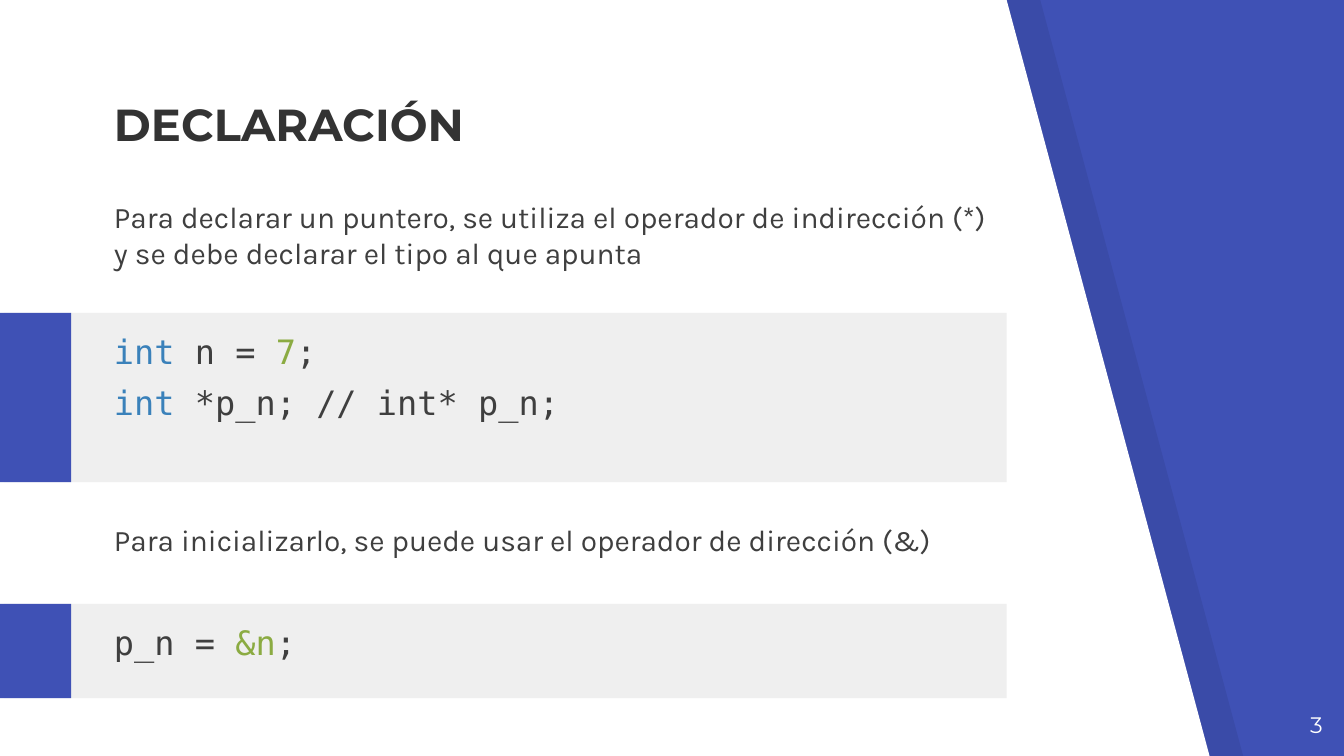
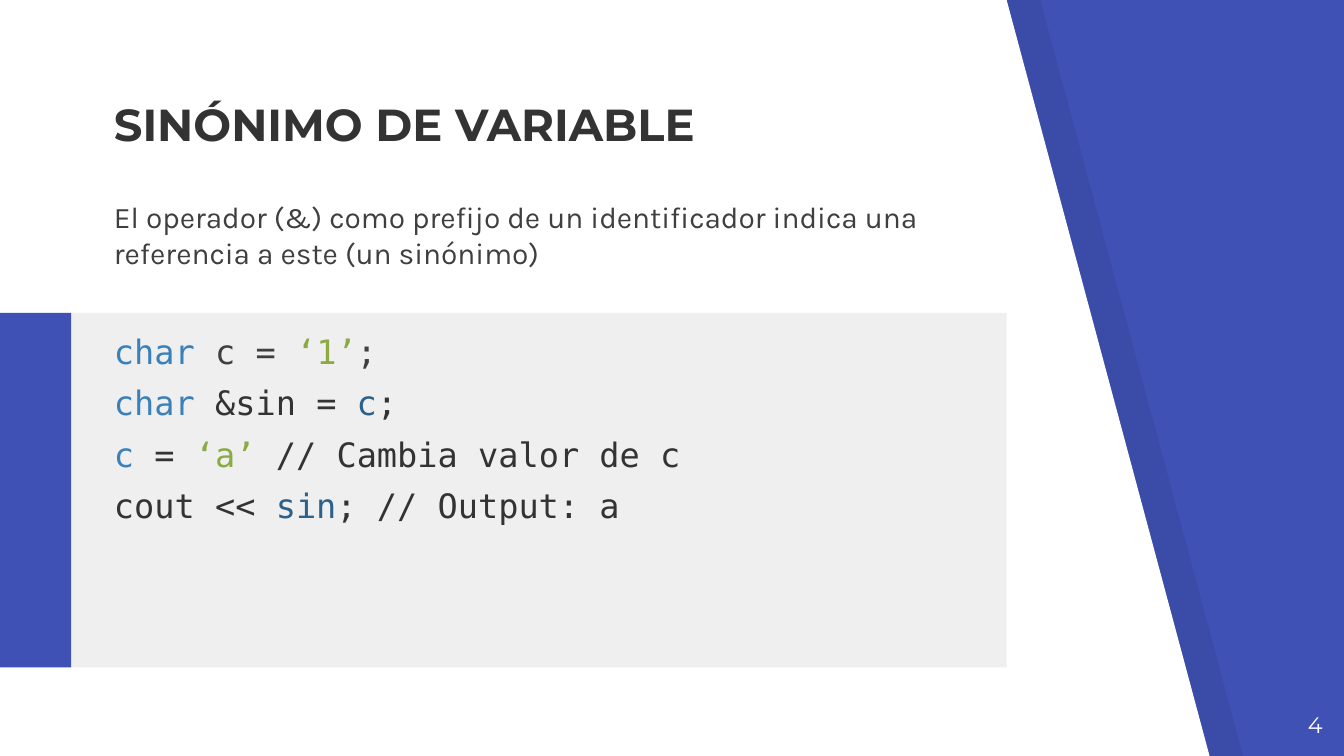
from lxml import etree
from pptx import Presentation
from pptx.dml.color import RGBColor
from pptx.enum.shapes import MSO_SHAPE
from pptx.enum.text import MSO_ANCHOR, PP_ALIGN
from pptx.oxml.ns import qn
from pptx.util import Pt

RECT = MSO_SHAPE.RECTANGLE
TOP, BOTTOM = MSO_ANCHOR.TOP, MSO_ANCHOR.BOTTOM
LEFT, RIGHT = PP_ALIGN.LEFT, PP_ALIGN.RIGHT

WIDE, HIGH = 720, 405
BLUE, WHITE, BLACK, GRAY = "3F51B5", "FFFFFF", "000000", "EFEFEF"
INK, TEXT, TYPE, VALUE, NAME = "333333", "3F3F3F", "3A81BA", "8BAB42", "2B618B"
HEAD, BODY, MONO = "Montserrat", "Karla", "DejaVu Sans Mono"
TEXT_X, TEXT_W = 54, 484.6
BAND_X, BAND_END, TAB_W = 2.2, 539.3, 38.1
CODE_DROP = 2.4

# Notes are (top, height, text); a code block has its band's top and height,
# then its lines, each made of (text, colour) pieces.
SLIDES = [
    {
        "number": "3",
        "title": "DECLARACIÓN",
        "notes": [
            (99.4, 67.6, "Para declarar un puntero, se utiliza el operador de "
                         "indirección (*) y se debe declarar el tipo al que apunta"),
            (272.2, 48.2, "Para inicializarlo, se puede usar el operador de dirección (&)"),
        ],
        "code": [
            (167.6, 90.7, [
                [("int", TYPE), (" n = ", TEXT), ("7", VALUE), (";", TEXT)],
                [("int", TYPE), (" *p_n; // int* p_n;", TEXT)],
            ]),
            (323.6, 50.4, [
                [("p_n = ", TEXT), ("&n", VALUE), (";", TEXT)],
            ]),
        ],
    },
    {
        "number": "4",
        "title": "SINÓNIMO DE VARIABLE",
        "notes": [
            (99.4, 67.6, "El operador (&) como prefijo de un identificador indica "
                         "una referencia a este (un sinónimo)"),
        ],
        "code": [
            (167.6, 190, [
                [("char", TYPE), (" c = ", TEXT), ("‘1’", VALUE), (";", TEXT)],
                [("char ", TYPE), ("&sin = ", INK), ("c", NAME), (";", INK)],
                [("c ", TYPE), ("= ", INK), ("‘a’", VALUE), (" // Cambia valor de c", INK)],
                [("cout << ", INK), ("sin", NAME), ("; // Output: a", INK)],
            ]),
        ],
    },
]


def rgb(color):
    return RGBColor.from_string(color)


def paint(shape, color):
    """Give the shape a plain fill, with no line or shadow."""
    shape.fill.solid()
    shape.fill.fore_color.rgb = rgb(color)
    shape.line.fill.background()
    shape.shadow.inherit = False


def write(slide, box, lines, font=BODY, size=16, bold=False, before=0,
          align=LEFT, anchor=TOP):
    """Add a text box; each line is a list of (text, colour) pieces."""
    frame = slide.shapes.add_textbox(*map(Pt, box)).text_frame
    frame.word_wrap = True
    frame.vertical_anchor = anchor
    frame.margin_left = frame.margin_right = Pt(7.2)
    frame.margin_top = frame.margin_bottom = Pt(7.2)
    for i, line in enumerate(lines):
        para = frame.add_paragraph() if i else frame.paragraphs[0]
        para.alignment = align
        para.space_before = Pt(before)
        for text, color in line:
            run = para.add_run()
            run.text = text
            run.font.name = font
            run.font.size = Pt(size)
            run.font.bold = bold
            run.font.color.rgb = rgb(color)


def panel(slide, left, color, alpha=100):
    """Add the page panel with its slanted right edge."""
    pen = slide.shapes.build_freeform(Pt(left), Pt(0))
    corners = [(left, HIGH), (left + 648, HIGH), (left + BAND_END, 0)]
    pen.add_line_segments([(Pt(x), Pt(y)) for x, y in corners])
    shape = pen.convert_to_shape()
    paint(shape, color)
    if alpha < 100:
        tone = shape.fill._xPr.find(".//" + qn("a:srgbClr"))
        etree.SubElement(tone, qn("a:alpha")).set("val", str(alpha * 1000))


def band(slide, top, high):
    """Add the gray code band with its blue tab."""
    group = slide.shapes.add_group_shape()
    for left, end, color in [(BAND_X, BAND_END, GRAY), (0, TAB_W, BLUE)]:
        box = map(Pt, (left, top, end - left, high))
        paint(group.shapes.add_shape(RECT, *box), color)


def build(deck, page):
    slide = deck.slides.add_slide(deck.slide_layouts[6])
    back = slide.background.fill
    back.solid()
    back.fore_color.rgb = rgb(BLUE)
    panel(slide, 18, BLACK, alpha=7)
    panel(slide, 0, WHITE)
    write(slide, (TEXT_X, 55.4, TEXT_W, 32.4), [[(page["title"], INK)]],
          font=HEAD, size=24, bold=True, anchor=BOTTOM)
    for top, high, text in page["notes"]:
        write(slide, (TEXT_X, top, TEXT_W, high), [[(text, TEXT)]], before=6)
    for top, high, lines in page["code"]:
        band(slide, top, high)
        write(slide, (TEXT_X, top + CODE_DROP, TEXT_W, high - CODE_DROP), lines,
              font=MONO, size=18, before=6)
    write(slide, (672.5, 373.7, 43.2, 31), [[(page["number"], WHITE)]],
          font=HEAD, size=12, align=RIGHT)


def main():
    deck = Presentation()
    deck.slide_width, deck.slide_height = Pt(WIDE), Pt(HIGH)
    for page in SLIDES:
        build(deck, page)
    deck.save("out.pptx")


if __name__ == "__main__":
    main()
